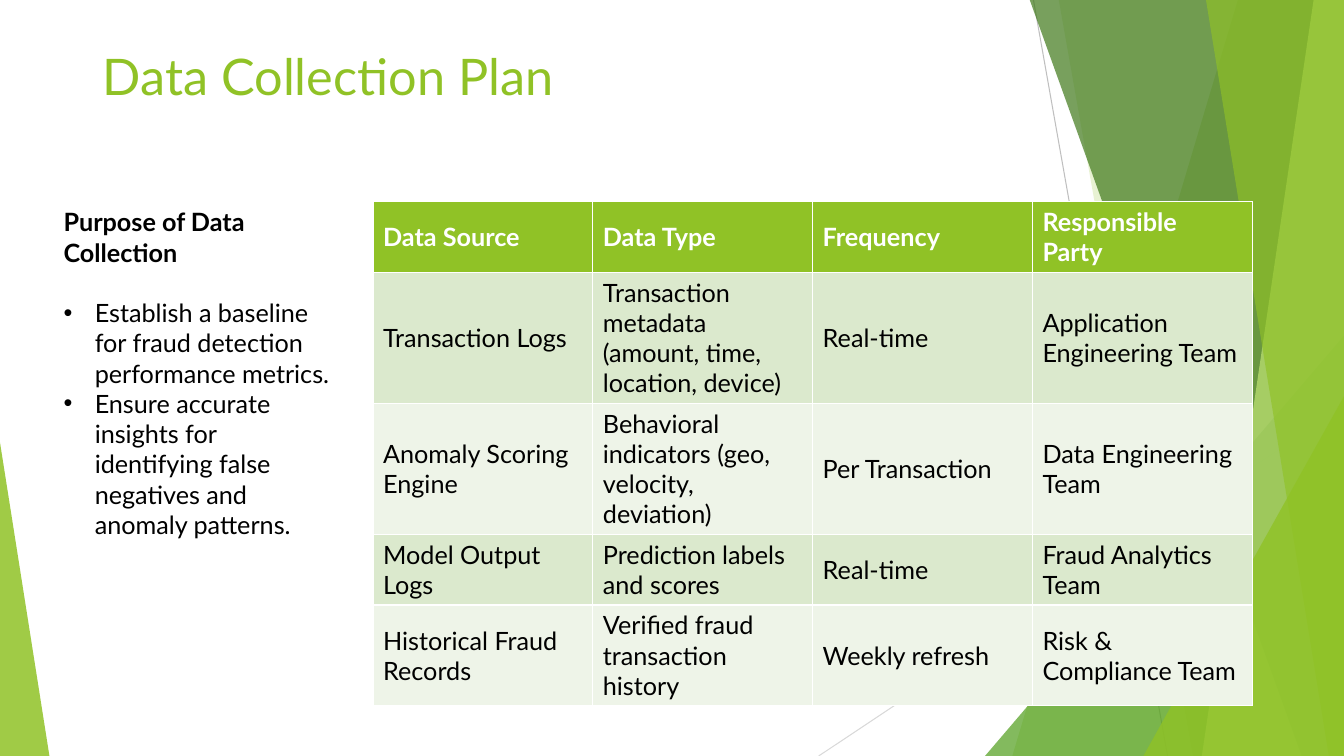
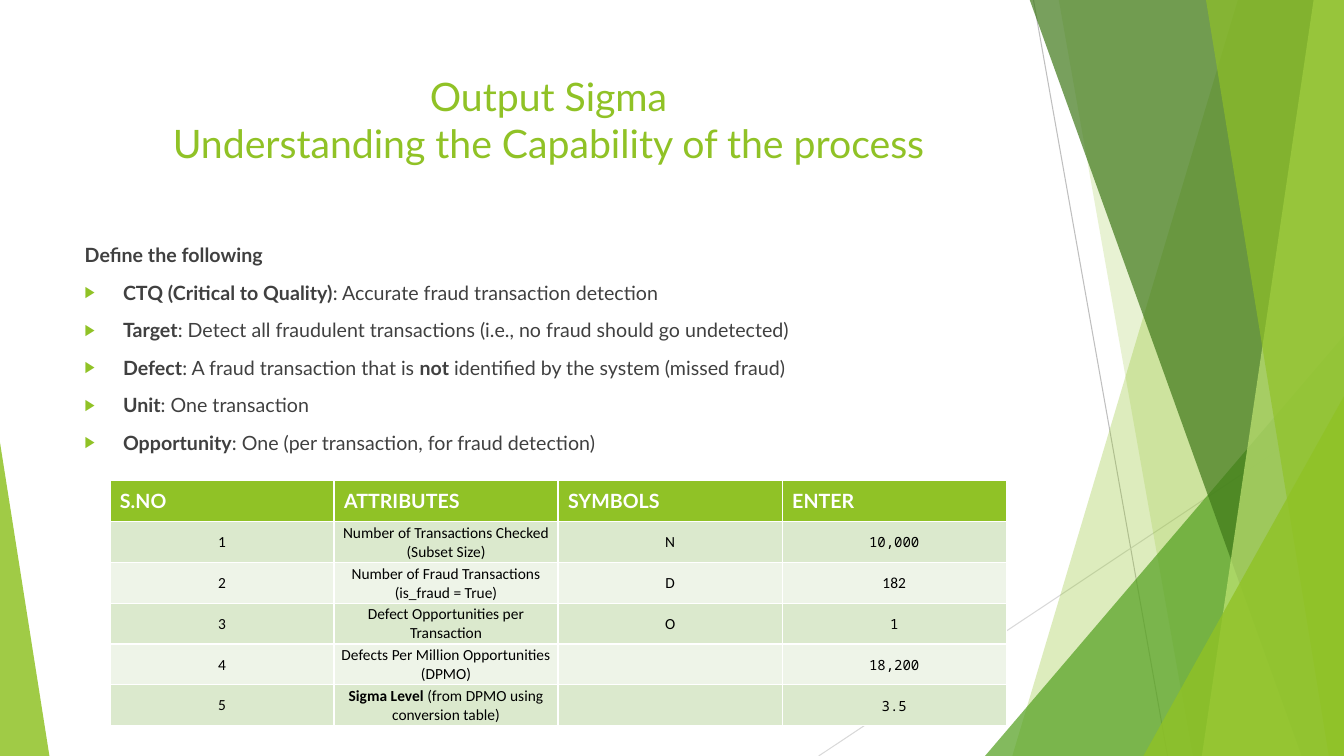
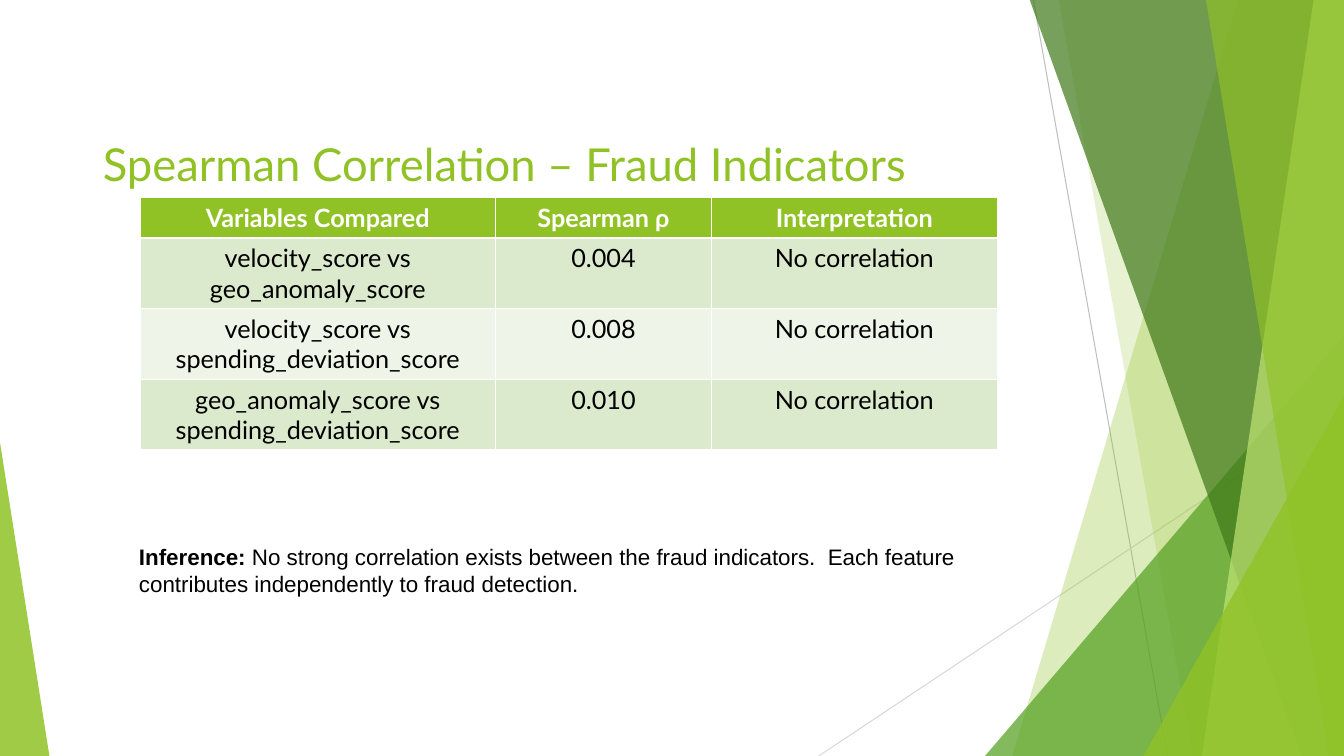
from dataclasses import dataclass
from typing import NamedTuple

from pptx import Presentation
from pptx.dml.color import RGBColor
from pptx.enum.shapes import MSO_CONNECTOR, MSO_SHAPE
from pptx.enum.text import MSO_ANCHOR, MSO_AUTO_SIZE, PP_ALIGN
from pptx.oxml.ns import qn
from pptx.oxml.xmlchemy import OxmlElement
from pptx.util import Emu, Pt

EMU_PER_PX = 9144  # 100 px to the inch


@dataclass(frozen=True)
class Theme:
    lime: str = "90C226"
    grass: str = "54A021"
    forest: str = "3F7819"
    pale: str = "C0E474"
    band_dark: str = "DBE9CD"
    band_light: str = "EEF4E8"
    white: str = "FFFFFF"
    black: str = "000000"
    gray: str = "404040"
    sans: str = "Lato"
    small_sans: str = "Calibri"
    note_sans: str = "Arial"
    mono: str = "Noto Sans Mono"
    body_size: float = 18
    note_size: float = 16
    list_size: float = 14
    cell_size: float = 11
    mono_size: float = 10


THEME = Theme()


class Box(NamedTuple):
    left: int
    top: int
    width: int
    height: int


class Ray(NamedTuple):
    start: tuple[int, int]
    end: tuple[int, int]
    color: str


class Facet(NamedTuple):
    points: tuple[tuple[int, int], ...]
    color: str
    opacity: int


class Wedge(NamedTuple):
    box: Box
    apex: int
    color: str
    opacity: int


class TextStyle(NamedTuple):
    size: float
    color: str
    font: str = THEME.sans
    bold: bool = False


@dataclass(frozen=True)
class ListStyle:
    text: TextStyle
    bullet: str
    bullet_color: str
    bullet_percent: int
    indent: int
    heading_gap: float
    item_gap: float


@dataclass(frozen=True)
class Grid:
    box: Box
    columns: tuple[int, ...]  # relative widths
    rows: tuple[int, ...]  # relative heights
    cells: tuple[tuple[str, ...], ...]
    header: TextStyle
    body: TextStyle
    align: PP_ALIGN = PP_ALIGN.LEFT
    header_align: PP_ALIGN = PP_ALIGN.LEFT
    anchor: MSO_ANCHOR = MSO_ANCHOR.MIDDLE
    tight: bool = False
    mono_cells: tuple[tuple[int, int], ...] = ()


def facet(top_left: int, top_right: int, bottom_right: int, bottom_left: int,
          color: str, opacity: int) -> Facet:
    points = ((top_left, -1), (top_right, -1), (bottom_right, 750), (bottom_left, 750))
    return Facet(points, color, opacity)


# Master decoration, from back to front
DECORATION = (
    Ray((1025, 0), (1158, 750), "BFBFBF"),
    Ray((1333, 403), (812, 750), "D9D9D9"),
    facet(1228, 1333, 1333, 1004, THEME.lime, 30),
    facet(1050, 1333, 1333, 1183, THEME.lime, 20),
    Wedge(Box(977, 333, 356, 417), 1, THEME.grass, 72),
    facet(1021, 1333, 1333, 1291, THEME.forest, 70),
    facet(1303, 1333, 1333, 1192, THEME.pale, 70),
    facet(1196, 1333, 1333, 1318, THEME.lime, 65),
    Wedge(Box(1134, 393, 199, 357), 1, THEME.lime, 80),
    Wedge(Box(0, 439, 49, 311), 0, THEME.lime, 85),
)


def px(value: float) -> Emu:
    return Emu(round(value * EMU_PER_PX))


def rgb(color: str) -> RGBColor:
    return RGBColor.from_string(color)


def emu_box(box: Box) -> list[Emu]:
    return [px(value) for value in box]


def place(shape, box: Box) -> None:
    shape.left, shape.top, shape.width, shape.height = emu_box(box)


def child(parent, tag: str, **attributes: str):
    element = OxmlElement(tag)
    for name, value in attributes.items():
        element.set(name, value)
    parent.append(element)
    return element


# Text
def set_font(font, style: TextStyle) -> None:
    font.name, font.size, font.bold = style.font, Pt(style.size), style.bold
    font.color.rgb = rgb(style.color)


def write(para, text: str, style: TextStyle) -> None:
    """Fill a paragraph; parts between ** marks are bold."""
    set_font(para.font, style)
    for index, part in enumerate(text.split("**")):
        if part:
            span = para.add_run()
            span.text = part
            if index % 2:
                span.font.bold = True


def prepare_frame(shape):
    frame = shape.text_frame
    frame.word_wrap = True
    frame.auto_size = MSO_AUTO_SIZE.NONE
    frame.vertical_anchor = MSO_ANCHOR.TOP
    return frame


def set_title(page, box: Box, size: float, *lines: str,
              align: PP_ALIGN = PP_ALIGN.LEFT) -> None:
    title = page.shapes.title
    place(title, box)
    para = prepare_frame(title).paragraphs[0]
    para.alignment = align
    for index, line in enumerate(lines):
        if index:
            para.add_line_break()
        write(para, line, TextStyle(size, THEME.lime))


def set_bullet(para, style: ListStyle) -> None:
    properties = para._p.get_or_add_pPr()
    properties.set("marL", str(px(style.indent)))
    properties.set("indent", str(px(-style.indent)))
    child(child(properties, "a:buClr"), "a:srgbClr", val=style.bullet_color)
    child(properties, "a:buSzPct", val=str(style.bullet_percent * 1000))
    child(properties, "a:buFont", typeface="Arial")
    child(properties, "a:buChar", char=style.bullet)


def set_list(page, box: Box, style: ListStyle, heading: str, items: tuple[str, ...]) -> None:
    body = page.placeholders[1]
    place(body, box)
    frame = prepare_frame(body)
    para = frame.paragraphs[0]
    properties = para._p.get_or_add_pPr()
    properties.set("marL", "0")
    properties.set("indent", "0")
    para.space_before, para.space_after = Pt(0), Pt(style.heading_gap)
    child(properties, "a:buNone")
    write(para, heading, style.text._replace(bold=True))
    for item in items:
        para = frame.add_paragraph()
        para.space_before = Pt(style.item_gap)
        set_bullet(para, style)
        write(para, item, style.text)


# Tables
def share(total: int, weights: tuple[int, ...]) -> list[Emu]:
    return [px(total * weight / sum(weights)) for weight in weights]


def add_grid(page, grid: Grid) -> None:
    frame = page.shapes.add_table(len(grid.rows), len(grid.columns), *emu_box(grid.box))
    table = frame.table
    for column, width in zip(table.columns, share(grid.box.width, grid.columns)):
        column.width = width
    for row, height in zip(table.rows, share(grid.box.height, grid.rows)):
        row.height = height
    for row_index, texts in enumerate(grid.cells):
        is_header = row_index == 0
        band = THEME.band_dark if row_index % 2 else THEME.band_light
        for column_index, text in enumerate(texts):
            cell = table.cell(row_index, column_index)
            cell.fill.solid()
            cell.fill.fore_color.rgb = rgb(THEME.lime if is_header else band)
            cell.vertical_anchor = grid.anchor
            if grid.tight and not is_header:
                cell.margin_left = cell.margin_right = cell.margin_top = px(1)
                cell.margin_bottom = 0
            style = grid.header if is_header else grid.body
            if (row_index, column_index) in grid.mono_cells:
                style = style._replace(font=THEME.mono, size=THEME.mono_size)
            para = cell.text_frame.paragraphs[0]
            para.alignment = grid.header_align if is_header else grid.align
            write(para, text, style)


# Decoration
def paint(shape, color: str, opacity: int) -> None:
    shape.shadow.inherit = False
    shape.line.fill.background()
    shape.fill.solid()
    shape.fill.fore_color.rgb = rgb(color)
    tint = shape.element.spPr.find(".//" + qn("a:srgbClr"))
    child(tint, "a:alpha", val=str(opacity * 1000))


def draw_part(shapes, part: Ray | Facet | Wedge) -> None:
    if isinstance(part, Ray):
        ray = shapes.add_connector(MSO_CONNECTOR.STRAIGHT,
                                   *(px(value) for value in part.start + part.end))
        ray.line.color.rgb = rgb(part.color)
        ray.line.width = Pt(0.75)
        child(ray.element.spPr, "a:effectLst")
        return
    if isinstance(part, Facet):
        outline = shapes.build_freeform(*part.points[0], scale=EMU_PER_PX)
        outline.add_line_segments(part.points[1:], close=True)
        shape = outline.convert_to_shape()
    else:
        shape = shapes.add_shape(MSO_SHAPE.ISOSCELES_TRIANGLE, *emu_box(part.box))
        shape.adjustments[0] = part.apex
    paint(shape, part.color, part.opacity)


def decorate_master(deck, page) -> None:
    """Draw the decoration as a group, then move it behind everything on the master."""
    group = page.shapes.add_group_shape()
    for part in DECORATION:
        draw_part(group.shapes, part)
    for number, properties in enumerate(group.element.xpath(".//p:cNvPr"), start=100):
        properties.set("id", str(number))
    deck.slide_master.shapes.element.insert(2, group.element)


# Slides
def fill_collection_plan(page) -> None:
    set_title(page, Box(92, 40, 1150, 96), 36, "Data Collection Plan")
    text = TextStyle(THEME.body_size, THEME.black)
    set_list(
        page, Box(53, 200, 290, 404),
        ListStyle(text, "•", THEME.black, 100, indent=31, heading_gap=21.6, item_gap=0),
        "Purpose of Data Collection",
        ("Establish a baseline for fraud detection performance metrics.",
         "Ensure accurate insights for identifying false negatives and anomaly patterns."))
    add_grid(page, Grid(
        Box(370, 200, 872, 500), columns=(1,) * 4, rows=(7, 13, 13, 7, 10),
        cells=(
            ("Data Source", "Data Type", "Frequency", "Responsible Party"),
            ("Transaction Logs", "Transaction metadata (amount, time, location, device)",
             "Real-time", "Application Engineering Team"),
            ("Anomaly Scoring Engine", "Behavioral indicators (geo, velocity, deviation)",
             "Per Transaction", "Data Engineering Team"),
            ("Model Output Logs", "Prediction labels and scores",
             "Real-time", "Fraud Analytics Team"),
            ("Historical Fraud Records", "Verified fraud transaction history",
             "Weekly refresh", "Risk & Compliance Team"),
        ),
        header=TextStyle(THEME.body_size, THEME.white, bold=True), body=text))


def fill_output_sigma(page) -> None:
    set_title(page, Box(74, 67, 940, 144), 28, "Output Sigma",
              "Understanding the Capability of the process", align=PP_ALIGN.CENTER)
    set_list(
        page, Box(74, 236, 940, 424),
        ListStyle(TextStyle(THEME.list_size, THEME.gray), "▶", THEME.lime, 80,
                  indent=38, heading_gap=0, item_gap=10),
        "Define the following",
        ("**CTQ (Critical to Quality)**: Accurate fraud transaction detection",
         "**Target**: Detect all fraudulent transactions (i.e., no fraud should go undetected)",
         "**Defect**: A fraud transaction that is **not** identified by the system (missed fraud)",
         "**Unit**: One transaction",
         "**Opportunity**: One (per transaction, for fraud detection)"))
    add_grid(page, Grid(
        Box(109, 477, 889, 243), columns=(1,) * 4, rows=(1,) * 6,
        cells=(
            ("S.NO", "ATTRIBUTES", "SYMBOLS", "ENTER"),
            ("1", "Number of Transactions Checked (Subset Size)", "N", "10,000"),
            ("2", "Number of Fraud Transactions (is_fraud = True)", "D", "182"),
            ("3", "Defect Opportunities per Transaction", "O", "1"),
            ("4", "Defects Per Million Opportunities (DPMO)", "", "18,200"),
            ("5", "**Sigma Level** (from DPMO using conversion table)", "", "3.5"),
        ),
        header=TextStyle(THEME.list_size, THEME.white, bold=True),
        body=TextStyle(THEME.cell_size, THEME.black, THEME.small_sans),
        align=PP_ALIGN.CENTER, tight=True,
        mono_cells=((1, 3), (3, 3), (4, 3), (5, 3))))


def fill_correlation(page) -> None:
    set_title(page, Box(92, 130, 1150, 68), 32.4, "Spearman Correlation – Fraud Indicators")
    add_grid(page, Grid(
        Box(139, 196, 850, 250), columns=(352, 214, 283), rows=(4, 7, 7, 7),
        cells=(
            ("Variables Compared", "Spearman ρ", "Interpretation"),
            ("velocity_score vs geo_anomaly_score", "0.004", "No correlation"),
            ("velocity_score vs spending_deviation_score", "0.008", "No correlation"),
            ("geo_anomaly_score vs spending_deviation_score", "0.010", "No correlation"),
        ),
        header=TextStyle(THEME.body_size, THEME.white, bold=True),
        body=TextStyle(THEME.body_size, THEME.black),
        align=PP_ALIGN.CENTER, header_align=PP_ALIGN.CENTER, anchor=MSO_ANCHOR.TOP))
    note = page.shapes.add_textbox(*emu_box(Box(128, 534, 861, 94)))
    write(prepare_frame(note).paragraphs[0],
          "**Inference: **No strong correlation exists between the fraud indicators.  "
          "Each feature contributes independently to fraud detection.",
          TextStyle(THEME.note_size, THEME.black, THEME.note_sans))


def main() -> None:
    deck = Presentation()
    deck.slide_width, deck.slide_height = px(1333), px(750)
    title_and_list, title_only = deck.slide_layouts[1], deck.slide_layouts[5]
    plan = ((title_and_list, fill_collection_plan),
            (title_and_list, fill_output_sigma),
            (title_only, fill_correlation))
    for index, (layout, fill_page) in enumerate(plan):
        page = deck.slides.add_slide(layout)
        if index == 0:
            decorate_master(deck, page)
        fill_page(page)
    deck.save("out.pptx")


if __name__ == "__main__":
    main()
